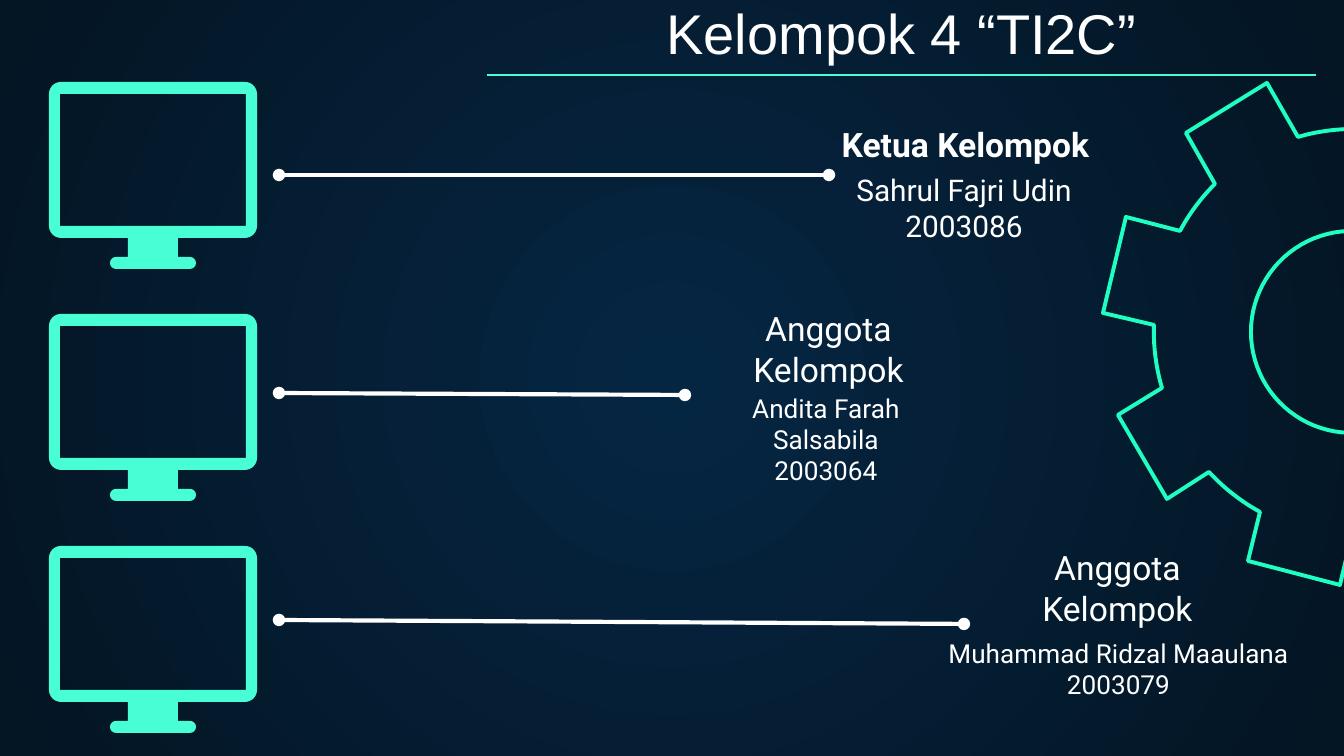
from math import atan2, cos, hypot, pi, radians, sin

from lxml.etree import SubElement
from pptx import Presentation
from pptx.dml.color import RGBColor
from pptx.enum.shapes import MSO_CONNECTOR as Connector
from pptx.enum.text import MSO_ANCHOR as Anchor, PP_ALIGN as Align
from pptx.oxml.ns import qn
from pptx.util import Emu, Pt

PX = 914400 / 134.4
COLORS = {
    "glow": "052643",
    "night": "041523",
    "white": "FFFFFF",
    "mint": "48FFD5",
    "gear": "1EFFC1",
}
MONITOR_TOP, MONITOR_PITCH = 82, 232
GEAR_CENTER, GEAR_HOLE = (1352, 332), 101
# Each tooth: root, tip, tip, root
GEAR_TEETH = [
    [(1525, 421), (1581, 434), (1602, 340), (1544, 325)],
    [(1535, 269), (1587, 237), (1539, 153), (1485, 187)],
    [(1442, 153), (1458, 91), (1367, 69), (1352, 129)],
    [(1298, 137), (1267, 83), (1186, 133), (1215, 184)],
    [(1180, 231), (1126, 217), (1103, 313), (1154, 325)],
    [(1162, 388), (1118, 415), (1167, 499), (1209, 472)],
    [(1260, 512), (1248, 561), (1340, 585), (1352, 534)],
    [(1412, 523), (1439, 569), (1519, 519), (1492, 470)],
]
HEADING = {"size": Pt(18)}
LARGE = {"size": Pt(16)}
SMALL = {"size": Pt(14)}
# Box in px, lines, anchor, font format
TEXTS = [
    ((272, 5, 1259, 74), ["Kelompok 4 “TI2C”"], Anchor.BOTTOM,
     {"size": Pt(30), "name": "Arial"}),
    ((813, 136, 305, 41), ["Ketua Kelompok"], Anchor.BOTTOM,
     HEADING | {"bold": True}),
    ((825, 159, 278, 74), ["Sahrul Fajri Udin", "2003086"], Anchor.TOP, LARGE),
    ((676, 366, 305, 36), ["Anggota Kelompok"], Anchor.BOTTOM, HEADING),
    ((687, 379, 278, 74), ["Andita Farah Salsabila", "2003064"], Anchor.TOP, SMALL),
    ((965, 601, 305, 40), ["Anggota Kelompok"], Anchor.BOTTOM, HEADING),
    ((869, 624, 499, 74), ["Muhammad Ridzal Maaulana", "2003079"], Anchor.TOP, SMALL),
]
# Start and end of each line from a monitor to its member
LINKS = [
    (279, 175, 829, 175),
    (279, 393, 685, 395),
    (279, 620, 964, 624),
]


def px(value):
    return Emu(round(value * PX))


def color(name):
    return RGBColor.from_string(COLORS[name])


def paint_background(page):
    """Radial gradient from the middle of the page."""
    fill = page.background.fill
    fill.gradient()
    for stop, name in zip(fill.gradient_stops, ("glow", "night")):
        stop.color.rgb = color(name)
    gradient = next(page.element.iter(qn("a:gradFill")))
    for linear in gradient.findall(qn("a:lin")):
        gradient.remove(linear)
    radial = SubElement(gradient, qn("a:path"), path="circle")
    SubElement(radial, qn("a:fillToRect"), l="50000", t="50000", r="50000", b="50000")


def add_text(page, bounds, lines, anchor, font_format):
    frame = page.shapes.add_textbox(*map(px, bounds)).text_frame
    inset = px(13)
    layout = {"word_wrap": True, "vertical_anchor": anchor,
              "margin_left": inset, "margin_right": inset,
              "margin_top": inset, "margin_bottom": inset}
    for key, value in layout.items():
        setattr(frame, key, value)
    for index, line in enumerate(lines):
        para = frame.add_paragraph() if index else frame.paragraphs[0]
        para.alignment = Align.CENTER
        span = para.add_run()
        span.text = line
        for key, value in ({"name": "Roboto"} | font_format).items():
            setattr(span.font, key, value)
        span.font.color.rgb = color("white")


def add_line(page, ends, color_name, width, dots=False):
    connector = page.shapes.add_connector(Connector.STRAIGHT, *map(px, ends))
    connector.line.color.rgb = color(color_name)
    connector.line.width = Pt(width)
    if dots:
        stroke = connector.line._get_or_add_ln()
        for tag in ("a:headEnd", "a:tailEnd"):
            SubElement(stroke, qn(tag), type="oval")
    SubElement(connector._element.spPr, qn("a:effectLst"))


def add_outline(page, *contours):
    """One freeform from closed contours of px points."""
    builder = None
    for contour in contours:
        first, *rest = [(px(x), px(y)) for x, y in contour]
        if builder is None:
            builder = page.shapes.build_freeform(*first)
        else:
            builder.move_to(*first)
        builder.add_line_segments(rest, close=True)
    shape = builder.convert_to_shape()
    shape.shadow.inherit = False
    return shape


def arc(center, radius, start, end, steps=8):
    """Points on an arc; degrees run clockwise from the right."""
    angles = [radians(start + (end - start) * i / steps) for i in range(steps + 1)]
    return [(center[0] + radius * cos(a), center[1] + radius * sin(a)) for a in angles]


def add_monitor(page, top):
    left, right, bottom, foot = 49, 257, top + 156, top + 181
    corner, cap = 12, 6
    outer = [
        *arc((left + corner, top + corner), corner, 180, 270),
        *arc((right - corner, top + corner), corner, 270, 360),
        *arc((right - corner, bottom - corner), corner, 0, 90),
        (178, bottom), (178, foot - cap),
        *arc((190, foot), cap, -90, 90),
        *arc((116, foot), cap, 90, 270),
        (128, foot - cap), (128, bottom),
        *arc((left + corner, bottom - corner), corner, 90, 180),
    ]
    screen = [(60, top + 12), (60, top + 144), (246, top + 144), (246, top + 12)]
    monitor = add_outline(page, outer, screen)
    monitor.fill.solid()
    monitor.fill.fore_color.rgb = color("mint")
    monitor.line.fill.background()


def valley(start, end, steps=10):
    """Points between two tooth roots, turning about the gear's centre."""
    (r1, a1), (r2, a2) = [
        (hypot(x - GEAR_CENTER[0], y - GEAR_CENTER[1]),
         atan2(y - GEAR_CENTER[1], x - GEAR_CENTER[0])) for x, y in (start, end)]
    turn = (a2 - a1 + pi) % (2 * pi) - pi
    points = []
    for i in range(1, steps):
        share = i / steps
        radius, angle = r1 + (r2 - r1) * share, a1 + turn * share
        points.append((GEAR_CENTER[0] + radius * cos(angle),
                       GEAR_CENTER[1] + radius * sin(angle)))
    return points


def add_gear(page):
    rim = []
    for tooth, following in zip(GEAR_TEETH, GEAR_TEETH[1:] + GEAR_TEETH[:1]):
        rim += tooth + valley(tooth[-1], following[0])
    hole = arc(GEAR_CENTER, GEAR_HOLE, 0, 360, steps=90)
    gear = add_outline(page, rim, hole)
    gear.fill.background()
    gear.line.color.rgb = color("gear")
    gear.line.width = Pt(2.1)


def main():
    deck = Presentation()
    deck.slide_width, deck.slide_height = px(1344), px(756)
    page = deck.slides.add_slide(deck.slide_layouts[6])
    paint_background(page)
    for text in TEXTS:
        add_text(page, *text)
    add_line(page, (487, 75, 1316, 75), "mint", 0.75)
    for row, link in enumerate(LINKS):
        add_monitor(page, MONITOR_TOP + row * MONITOR_PITCH)
        add_line(page, link, "white", 2.25, dots=True)
    add_gear(page)
    deck.save("out.pptx")


if __name__ == "__main__":
    main()
